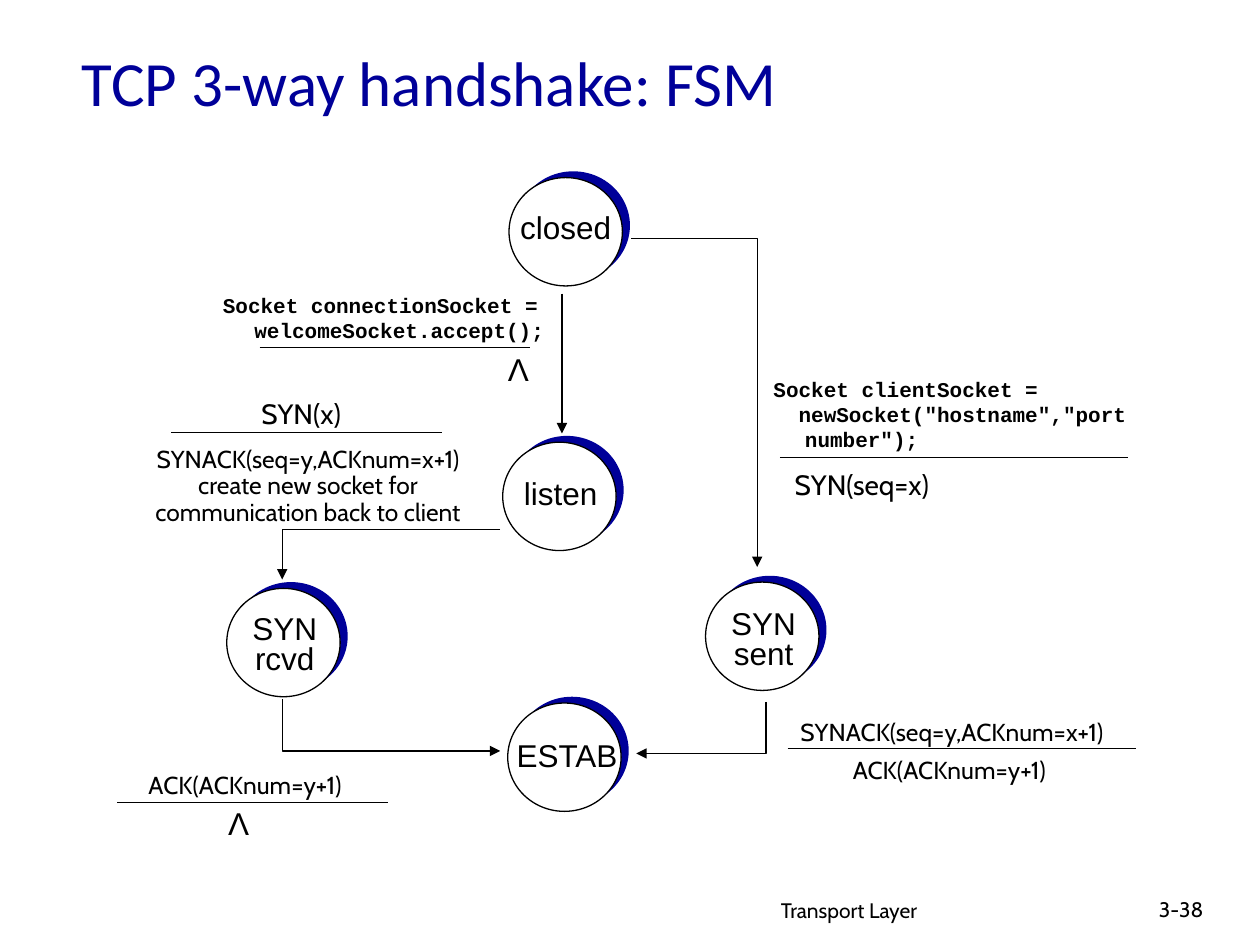
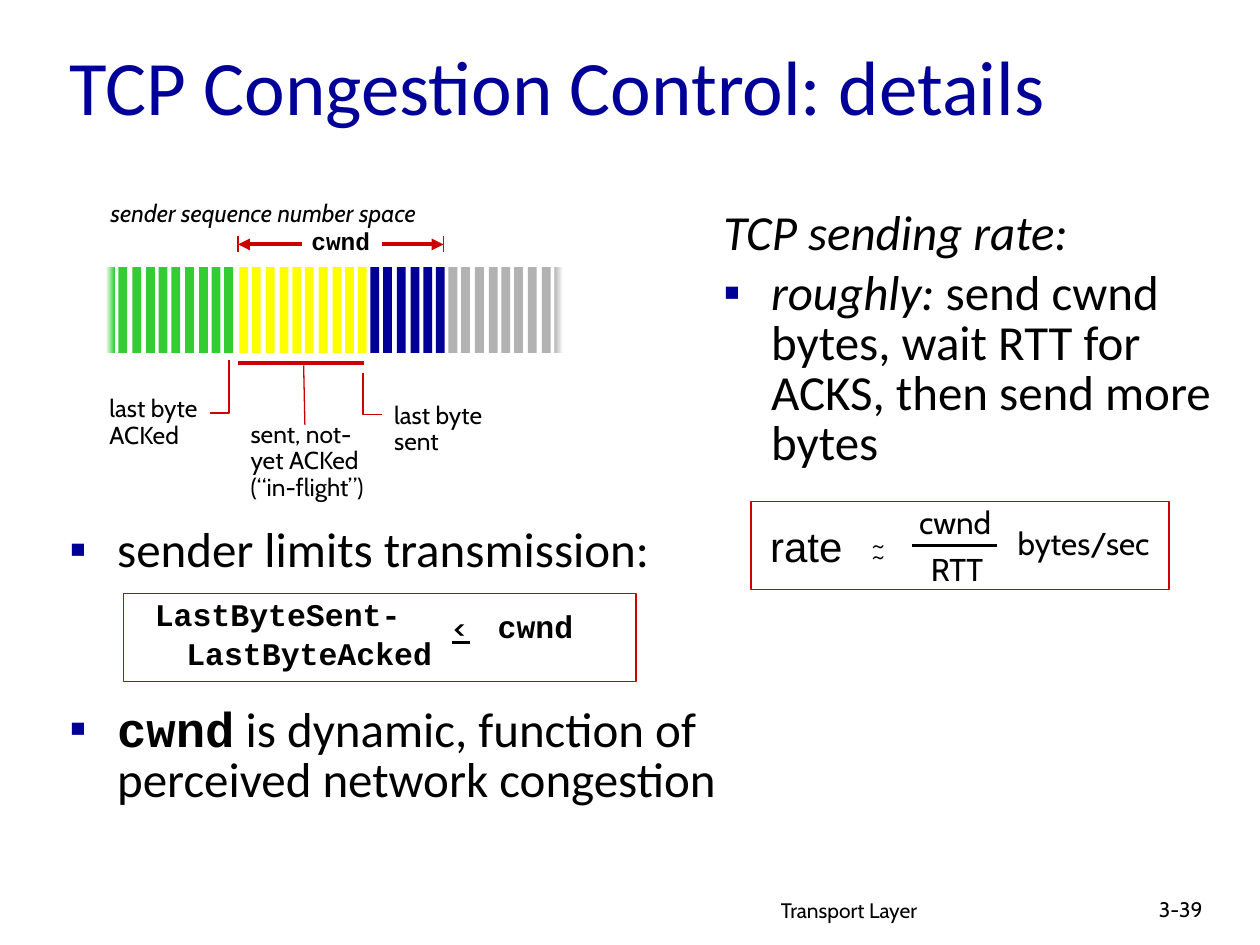
from lxml.etree import SubElement
from pptx import Presentation
from pptx.dml.color import RGBColor
from pptx.enum.shapes import MSO_CONNECTOR, MSO_SHAPE
from pptx.enum.text import MSO_ANCHOR, MSO_AUTO_SIZE, PP_ALIGN
from pptx.oxml.ns import qn
from pptx.util import Emu, Pt

PX = 9144
RECT, OVAL = MSO_SHAPE.RECTANGLE, MSO_SHAPE.OVAL
STRAIGHT = MSO_CONNECTOR.STRAIGHT
LEFT, CENTER = PP_ALIGN.LEFT, PP_ALIGN.CENTER
MIDDLE = MSO_ANCHOR.MIDDLE
NO_FIT = MSO_AUTO_SIZE.NONE
TITLE_ONLY, TWO_CONTENT = 5, 3
SANS, LABEL, HEADING, CODE = "Arial", "Cabin", "Calibri", "Courier New"
COLOURS = {
    "black": "000000",
    "white": "FFFFFF",
    "navy": "000099",
    "red": "CC0000",
    "green": "33CC33",
    "yellow": "FFFF00",
    "gray": "B2B2B2",
}


def colour(name):
    return RGBColor.from_string(COLOURS[name])


def px(*lengths):
    return [Emu(round(length * PX)) for length in lengths]


def style_span(span, size, font, ink="black", bold=False, italic=False):
    span.font.size = Pt(size)
    span.font.name = font
    span.font.color.rgb = colour(ink)
    span.font.bold = bold
    span.font.italic = italic


def set_indent(para, margin, first):
    properties = para._p.get_or_add_pPr()
    properties.set("marL", str(margin * PX))
    properties.set("indent", str(first * PX))
    return properties


def add_text(page, frame, text, size, font=LABEL, align=CENTER,
             spacing=None, bold=False, italic=False, indents=()):
    box = page.shapes.add_textbox(*px(*frame))
    box.text_frame.text = text
    box.text_frame.word_wrap = align == LEFT
    if align == CENTER:
        box.text_frame.margin_left = box.text_frame.margin_right = 0
    for para in box.text_frame.paragraphs:
        para.alignment = align
        if spacing:
            para.line_spacing = spacing
        for span in para.runs:
            style_span(span, size, font, bold=bold, italic=italic)
    for para, (margin, first) in zip(box.text_frame.paragraphs, indents):
        set_indent(para, margin, first)
    return box


def add_left_text(page, frame, text, size, **options):
    return add_text(page, frame, text, size, align=LEFT, **options)


def style_line(shape, ink, weight, arrow):
    shape.line.color.rgb = colour(ink)
    shape.line.width = Pt(weight)
    if arrow:
        SubElement(shape._element.spPr.find(qn("a:ln")), qn("a:tailEnd"), type="triangle")


def add_line(page, start, end, ink="black", weight=0.75, arrow=False):
    line = page.shapes.add_connector(STRAIGHT, *px(*start, *end))
    style_line(line, ink, weight, arrow)
    SubElement(line._element.spPr, qn("a:effectLst"))


def add_elbow(page, points, ink="black", weight=0.75, arrow=False):
    builder = page.shapes.build_freeform(*points[0], scale=PX)
    builder.add_line_segments(points[1:], close=False)
    elbow = builder.convert_to_shape()
    elbow.shadow.inherit = False
    elbow.fill.background()
    style_line(elbow, ink, weight, arrow)


def add_preset(shapes, kind, frame, fill=None, outline=None, weight=0.75):
    shape = shapes.add_shape(kind, *px(*frame))
    shape.shadow.inherit = False
    if fill:
        shape.fill.solid()
        shape.fill.fore_color.rgb = colour(fill)
    else:
        shape.fill.background()
    if outline:
        style_line(shape, outline, weight, False)
    else:
        shape.line.fill.background()
    return shape


def place(holder, frame):
    holder.left, holder.top, holder.width, holder.height = px(*frame)
    holder.text_frame.word_wrap = True
    holder.text_frame.auto_size = NO_FIT


def add_page(deck, layout, title, frame, size, number):
    page = deck.slides.add_slide(deck.slide_layouts[layout])
    heading = page.shapes.title
    place(heading, frame)
    heading.text_frame.text = title
    heading.text_frame.vertical_anchor = MIDDLE
    para = heading.text_frame.paragraphs[0]
    para.alignment = LEFT
    style_span(para.runs[0], size, HEADING, "navy")
    add_left_text(page, (610, 707, 317, 31), "Transport Layer", 12)
    add_left_text(page, (910, 707, 74, 30), number, 12)
    return page


def fill_body(holder, frame, items):
    place(holder, frame)
    for index, (bulleted, before, spans) in enumerate(items):
        if index:
            para = holder.text_frame.add_paragraph()
        else:
            para = holder.text_frame.paragraphs[0]
        properties = set_indent(para, 38, -38)
        if bulleted:
            tint = SubElement(properties, qn("a:buClr"))
            SubElement(tint, qn("a:srgbClr"), val=COLOURS["navy"])
            SubElement(properties, qn("a:buFont"), typeface=SANS)
            SubElement(properties, qn("a:buChar"), char="▪")
        else:
            SubElement(properties, qn("a:buNone"))
        para.line_spacing = 0.85
        para.space_before = Pt(before)
        for text, font, bold, italic in spans:
            span = para.add_run()
            span.text = text
            style_span(span, 28, font, bold=bold, italic=italic)


def add_state(page, left, top, name, label_frame, spacing=None):
    disc = page.shapes.add_group_shape()
    add_preset(disc.shapes, OVAL, (left + 6, top - 5, 90, 86), "navy")
    add_preset(disc.shapes, OVAL, (left, top, 90, 86), "white", "black")
    add_text(page, label_frame, name, 18, SANS, spacing=spacing)


def add_bytes(page, start, count, ink):
    return [add_preset(page.shapes, RECT, (round(start + 10.5 * index), 212, 7, 68), ink)
            for index in range(count)]


def fade(bar, start, end):
    bar.fill.gradient()
    bar.fill.gradient_angle = 0
    for stop, ink in zip(bar.fill.gradient_stops, (start, end)):
        stop.color.rgb = colour(ink)


def add_window_bound(page, start, edge):
    add_line(page, (start, 194), (edge, 194), "red", 2.25, True)
    add_line(page, (edge, 187), (edge, 200), "red")


def build_handshake(deck):
    page = add_page(deck, TITLE_ONLY, "TCP 3-way handshake: FSM", (55, 18, 586, 93), 36, "3-38")

    add_state(page, 404, 141, "closed", (403, 160, 92, 40))
    add_state(page, 399, 351, "listen", (406, 371, 78, 40))
    add_state(page, 180, 467, "SYN\nrcvd", (190, 484, 72, 58), 0.8)
    add_state(page, 560, 462, "SYN\nsent", (570, 480, 72, 58), 0.8)
    add_state(page, 403, 558, "ESTAB", (399, 585, 102, 34), 0.8)

    add_line(page, (446, 233), (446, 344), arrow=True)
    for points in (
        [(501, 189), (601, 189), (601, 450)],
        [(397, 420), (224, 420), (224, 460)],
        [(224, 555), (224, 596), (397, 596)],
        [(608, 557), (608, 598), (505, 598)],
    ):
        add_elbow(page, points, arrow=True)

    for left, right, top in ((619, 895, 363), (206, 421, 276), (136, 351, 343),
                             (625, 902, 594), (93, 308, 637)):
        add_line(page, (left, top), (right, top))

    add_left_text(page, (604, 294, 316, 70),
                  'Socket clientSocket =\nnewSocket("hostname","port number");',
                  12, font=CODE, bold=True, indents=[(25, -25), (25, -5)])
    add_left_text(page, (167, 227, 282, 50),
                  "Socket connectionSocket = welcomeSocket.accept();",
                  12, font=CODE, bold=True, indents=[(25, -25)])
    for left, top in ((393, 273), (171, 633)):
        add_text(page, (left, top, 37, 40), "Λ", 18, SANS)
    add_text(page, (615, 366, 138, 37), "SYN(seq=x)", 16)
    add_text(page, (195, 310, 88, 37), "SYN(x)", 16)
    for frame, text in (
        ((102, 350, 285, 73),
         "SYNACK(seq=y,ACKnum=x+1)\ncreate new socket for\ncommunication back to client"),
        ((613, 567, 285, 31), "SYNACK(seq=y,ACKnum=x+1)"),
        ((658, 597, 191, 31), "ACK(ACKnum=y+1)"),
        ((99, 609, 191, 31), "ACK(ACKnum=y+1)"),
    ):
        add_text(page, frame, text, 14, spacing=0.9)


def draw_sequence_space(page):
    acked = add_bytes(page, 84, 10, "green")
    add_bytes(page, 190, 10, "yellow")
    add_bytes(page, 294, 6, "navy")
    unused = add_bytes(page, 356, 9, "gray")
    fade(acked[0], "white", "green")
    fade(unused[-1], "gray", "white")

    add_line(page, (189, 288), (289, 288), "red", 2.25)
    add_line(page, (241, 290), (242, 337), "red")
    add_elbow(page, [(182, 286), (182, 328), (167, 328)], "red", 1)
    add_elbow(page, [(288, 296), (288, 329), (303, 329)], "red", 1)
    add_window_bound(page, 240, 189)
    add_window_bound(page, 303, 352)

    add_left_text(page, (78, 152, 298, 33), "sender sequence number space", 14, italic=True)
    add_text(page, (237, 177, 67, 31), "cwnd", 14, CODE, spacing=0.9, bold=True)
    for frame, text in (
        ((77, 310, 96, 52), "last byte\nACKed"),
        ((189, 330, 122, 73), "sent, not-yet ACKed\n(“in-flight”)"),
        ((303, 315, 117, 52), "last byte sent"),
    ):
        add_left_text(page, frame, text, 14, spacing=0.9)


def draw_limit(page):
    add_preset(page.shapes, RECT, (98, 471, 407, 70), outline="red", weight=1)
    box = add_left_text(page, (113, 472, 308, 67), "LastByteSent-\nLastByteAcked", 18,
                        font=CODE, spacing=0.85, bold=True, indents=[(0, 0), (25, 0)])
    box.text_frame.paragraphs[1].space_before = Pt(4)
    add_text(page, (346, 480, 38, 37), "<", 16, bold=True)
    add_line(page, (359, 510), (373, 510), weight=1.5)
    add_text(page, (385, 477, 80, 40), "cwnd", 18, CODE, bold=True)


def draw_rate(page):
    add_preset(page.shapes, RECT, (596, 398, 332, 70), outline="red", weight=1)
    add_text(page, (601, 408, 78, 50), "rate", 24, SANS)
    for top in (410, 419):
        add_text(page, (646, top, 102, 40), "~", 18)
    add_text(page, (719, 394, 78, 40), "cwnd", 18)
    add_text(page, (727, 432, 65, 40), "RTT", 18)
    add_line(page, (724, 433), (791, 433), weight=1.5)
    add_text(page, (798, 411, 124, 40), "bytes/sec", 18)


def build_congestion(deck):
    page = add_page(deck, TWO_CONTENT, "TCP Congestion Control: details",
                    (45, 25, 850, 84), 44, "3-39")
    limits, rate = list(page.placeholders)[1:]
    fill_body(limits, (45, 414, 538, 291), [
        (True, 6, [("sender limits transmission:", HEADING, False, False)]),
        (True, 74, [("cwnd", CODE, True, False),
                    (" is dynamic, function of perceived network congestion",
                     HEADING, False, False)]),
    ])
    fill_body(rate, (564, 162, 417, 268), [
        (False, 6, [("TCP sending rate:", HEADING, False, True)]),
        (True, 6, [("roughly:", HEADING, False, True),
                   (" send cwnd bytes, wait RTT for ACKS, then send more bytes",
                    HEADING, False, False)]),
    ])
    draw_sequence_space(page)
    draw_limit(page)
    draw_rate(page)


def main():
    deck = Presentation()
    deck.slide_width, deck.slide_height = px(1000, 750)
    build_handshake(deck)
    build_congestion(deck)
    deck.save("out.pptx")


if __name__ == "__main__":
    main()
